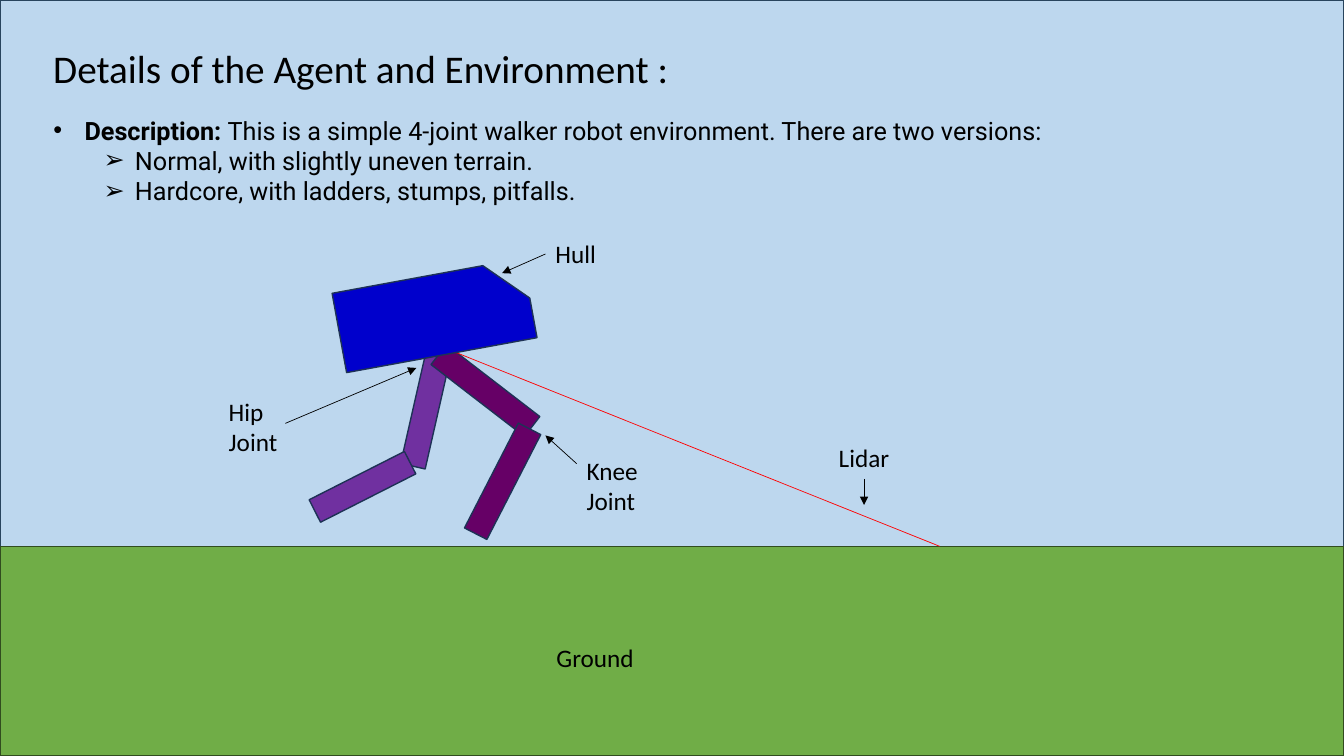
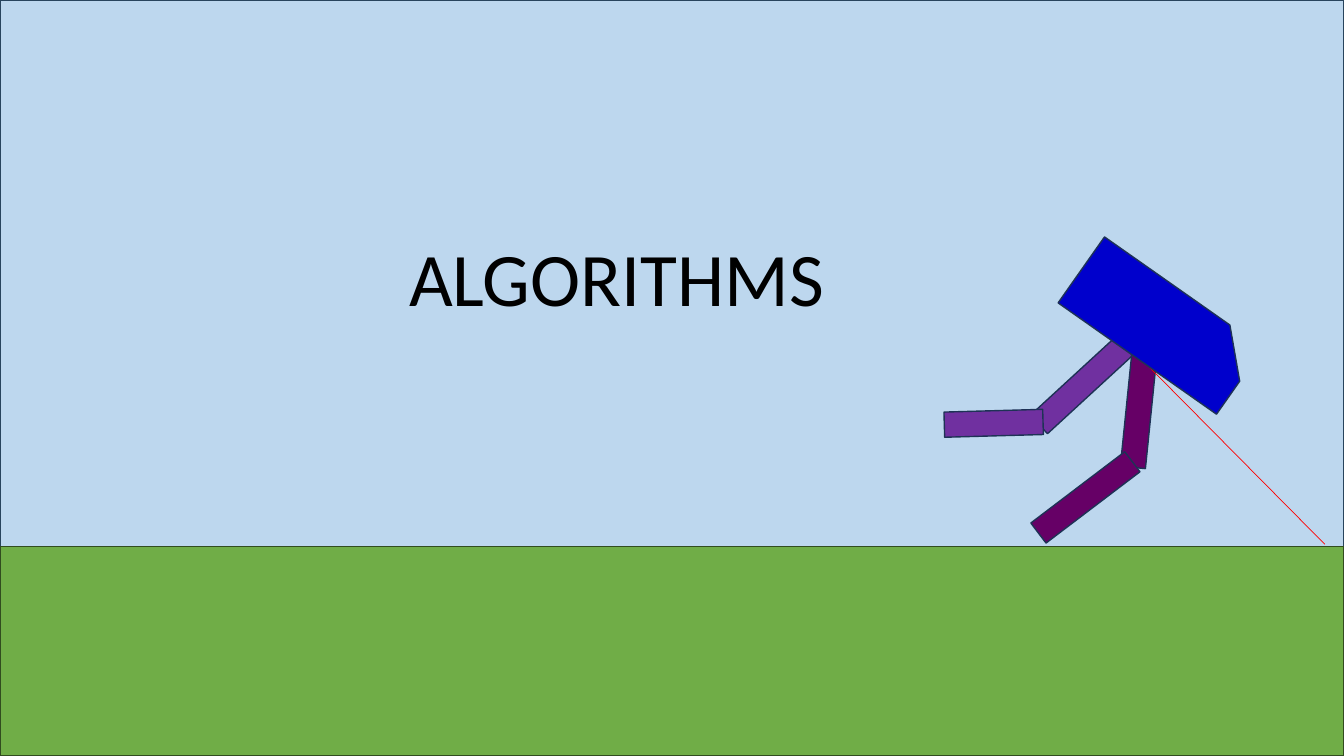
from dataclasses import dataclass

from pptx import Presentation
from pptx.dml.color import RGBColor
from pptx.enum.shapes import MSO_CONNECTOR, MSO_SHAPE
from pptx.enum.text import MSO_AUTO_SIZE
from pptx.oxml.ns import qn
from pptx.util import Inches, Pt
from lxml.etree import SubElement


@dataclass(frozen=True)
class Theme:
    sky: str = "BDD7EE"
    sky_edge: str = "28445D"
    grass: str = "70AD47"
    grass_edge: str = "314C1F"
    hull: str = "0000CC"
    far_leg: str = "7030A0"
    near_leg: str = "660066"
    edge: str = "1E3256"
    beam: str = "FF0000"
    ink: str = "000000"
    font: str = "Calibri"
    body_font: str = "Roboto"
    body: int = 18
    title: int = 28
    banner: int = 54
    border: float = 1
    thin: float = 0.5


THEME = Theme()
WIDTH, HEIGHT, HORIZON = 13.33, 7.5, 5.42
LIMB = 0.25
HULL_SIZE = 1.92, 0.8


def rgb(code):
    return RGBColor.from_string(code)


def add_block(slide, box, fill, edge=THEME.edge, turn=0, kind=MSO_SHAPE.RECTANGLE):
    block = slide.shapes.add_shape(kind, *map(Inches, box))
    block.shadow.inherit = False
    block.fill.solid()
    block.fill.fore_color.rgb = rgb(fill)
    block.line.color.rgb = rgb(edge)
    block.line.width = Pt(THEME.border)
    block.rotation = turn
    return block


def add_line(slide, start, end, color=THEME.ink, arrow=False):
    line = slide.shapes.add_connector(
        MSO_CONNECTOR.STRAIGHT, *map(Inches, (*start, *end)))
    line.line.color.rgb = rgb(color)
    line.line.width = Pt(THEME.thin)
    if arrow:
        SubElement(line.line._get_or_add_ln(), qn("a:tailEnd"), type="triangle")
    SubElement(line._element.spPr, qn("a:effectLst"))
    return line


def set_bullet(para, mark, indent, hang=0.31):
    props = para._p.get_or_add_pPr()
    props.set("marL", str(Inches(indent)))
    props.set("indent", str(-Inches(hang)))
    SubElement(props, qn("a:buFont"), typeface="Arial")
    SubElement(props, qn("a:buChar"), char=mark)


def add_text(slide, box, text, size=THEME.body, font=THEME.font, color=THEME.ink,
             lead="", bullets=()):
    """Write one paragraph per line; lead is a bold opening, bullets are (level, mark, indent)."""
    shape = slide.shapes.add_textbox(*map(Inches, box))
    frame = shape.text_frame
    frame.word_wrap = True
    frame.auto_size = MSO_AUTO_SIZE.SHAPE_TO_FIT_TEXT
    for row, words in enumerate(text.split("\n")):
        para = frame.add_paragraph() if row else frame.paragraphs[0]
        if bullets:
            para.level, mark, indent = bullets[row]
            set_bullet(para, mark, indent)
        parts = [(words, False)]
        if lead and row == 0:
            parts.insert(0, (lead, True))
        for part, bold in parts:
            run = para.add_run()
            run.text = part
            run.font.name = font
            run.font.size = Pt(size)
            run.font.bold = bold
            run.font.color.rgb = rgb(color)
    return shape


def add_scene(slide):
    add_block(slide, (0, 0, WIDTH, HORIZON), THEME.sky, THEME.sky_edge)
    add_block(slide, (0, HORIZON, WIDTH, HEIGHT - HORIZON),
              THEME.grass, THEME.grass_edge)


def add_robot(slide, limbs, beam, hull):
    """Limbs are (left, top, length, turn): far thigh, near thigh, near shin, far shin."""
    colors = THEME.far_leg, THEME.near_leg, THEME.near_leg, THEME.far_leg
    for (left, top, length, turn), color in zip(limbs, colors):
        add_block(slide, (left, top, LIMB, length), color, turn=turn)
    add_line(slide, *beam, color=THEME.beam)
    left, top, turn = hull
    body = add_block(slide, (left, top, *HULL_SIZE), THEME.hull, turn=turn,
                     kind=MSO_SHAPE.SNIP_1_RECTANGLE)
    body.adjustments[0] = 0.5


def add_details(slide):
    add_scene(slide)
    add_text(slide, (0.43, 0.39, 6.67, 0.57),
             "Details of the Agent and Environment :", size=THEME.title)
    point = 1, "➢", 0.81
    add_text(slide, (0.43, 1.09, 10.92, 1.31),
             "This is a simple 4-joint walker robot environment. There are two versions:\n"
             "Normal, with slightly uneven terrain.\n"
             "Hardcore, with ladders, stumps, pitfalls.",
             font=THEME.body_font, lead="Description: ",
             bullets=((0, "•", 0.31), point, point))
    add_robot(slide,
              limbs=((4.1, 3.47, 1.17, 12.8), (4.69, 3.29, 1.17, 307.6),
                     (4.86, 4.19, 1.17, 27.2), (3.47, 4.3, 1.06, 63.1)),
              beam=((4.28, 3.4), (9.32, HORIZON)),
              hull=(3.35, 2.73, 349.6))
    add_text(slide, (5.42, 6.32, 1.25, 0.4), "Ground")
    labels = (
        ("Hip Joint", (2.17, 3.88), 0.71, (2.83, 4.2), (4.13, 3.65)),
        ("Knee Joint", (5.72, 4.47), 0.71, (5.72, 4.6), (5.41, 4.32)),
        ("Lidar", (8.22, 4.34), 0.4, (8.57, 4.75), (8.57, 5.01)),
        ("Hull", (5.41, 2.32), 0.4, (5.42, 2.55), (4.98, 2.71)),
    )
    for words, spot, height, start, end in labels:
        label = add_text(slide, (*spot, 0.95, height), words)
        arrow = add_line(slide, start, end, arrow=True)
        if words == "Hull":
            arrow.begin_connect(label, 1)


def add_divider(slide):
    add_scene(slide)
    add_robot(slide,
              limbs=((10.61, 3.23, 1.17, 47.4), (11.17, 3.47, 1.17, 5.8),
                     (10.64, 4.35, 1.17, 52.8), (9.73, 3.71, 0.98, 88.4)),
              beam=((11.1, 3.34), (13.14, 5.4)),
              hull=(10.55, 2.83, 35.1))
    add_text(slide, (3.96, 2.24, 6.67, 1.01), "ALGORITHMS", size=THEME.banner)


def main():
    deck = Presentation()
    deck.slide_width, deck.slide_height = Inches(WIDTH), Inches(HEIGHT)
    for build in (add_details, add_divider):
        build(deck.slides.add_slide(deck.slide_layouts[6]))
    deck.save("out.pptx")


if __name__ == "__main__":
    main()
